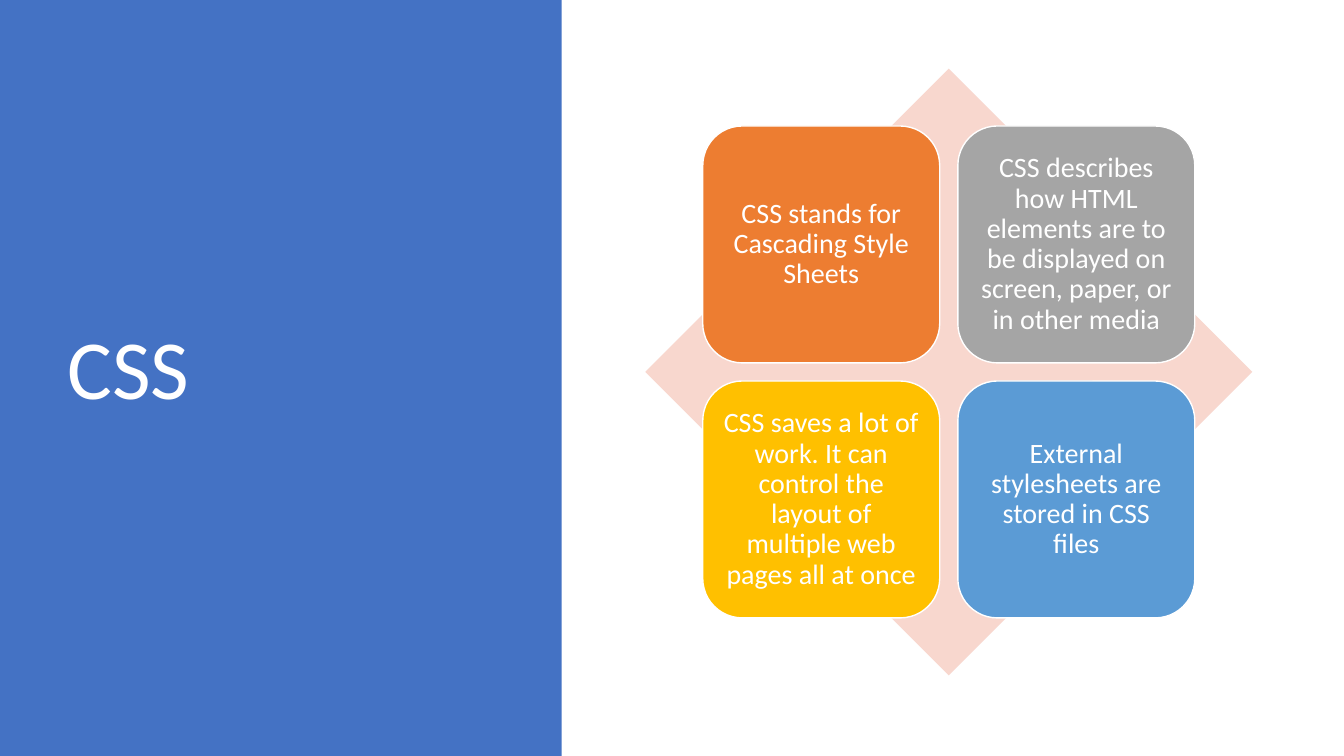
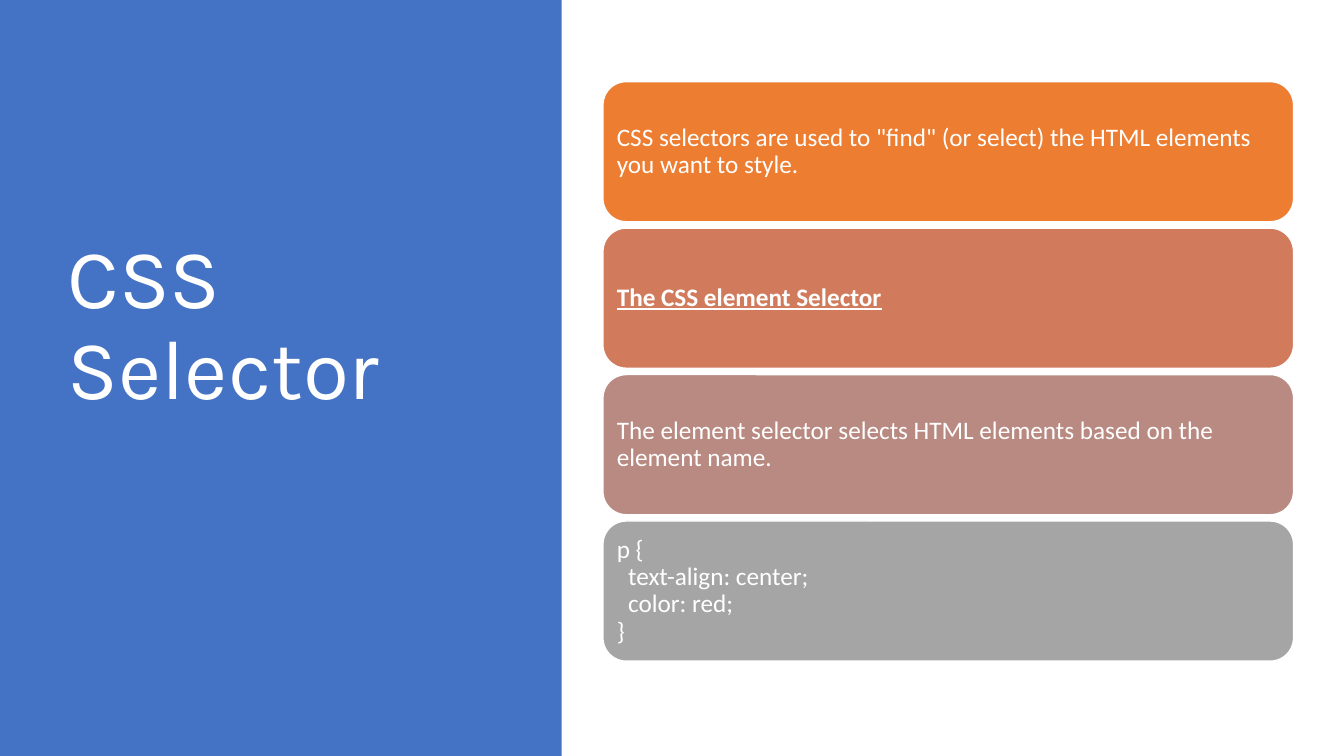
import pptx
import pptx.util
import pptx.dml.color
import pptx.enum.shapes
import pptx.enum.text

Inches = pptx.util.Inches
Pt = pptx.util.Pt
SHAPE = pptx.enum.shapes.MSO_SHAPE
ALIGN = pptx.enum.text.PP_ALIGN
MIDDLE = pptx.enum.text.MSO_ANCHOR.MIDDLE

COLORS = {
    "white": "FFFFFF",
    "blue": "4472C4",
    "blush": "F8D7CE",
    "orange": "ED7D31",
    "gray": "A5A5A5",
    "gold": "FFC000",
    "sky": "5B9BD5",
    "terracotta": "D17B5C",
    "rose": "B98A82",
}


def add_block(slide, kind, left, top, width, height, color, outlined=False):
    block = slide.shapes.add_shape(kind, Inches(left), Inches(top), Inches(width), Inches(height))
    block.shadow.inherit = False
    block.fill.solid()
    block.fill.fore_color.rgb = pptx.dml.color.RGBColor.from_string(COLORS[color])
    if outlined:
        block.line.color.rgb = pptx.dml.color.RGBColor.from_string(COLORS["white"])
        block.line.width = Pt(1)
    else:
        block.line.fill.background()
    return block


def write_text(box, text, align, inset, **font_values):
    frame = box.text_frame
    frame.text = text
    frame.word_wrap = True
    frame.auto_size = pptx.enum.text.MSO_AUTO_SIZE.NONE
    frame.vertical_anchor = MIDDLE
    for side, length in zip(("left", "top", "right", "bottom"), inset):
        setattr(frame, f"margin_{side}", Inches(length))
    for para in frame.paragraphs:
        para.alignment = align
        para.line_spacing = 0.9
        para.space_before = Pt(0)
        for name, value in font_values.items():
            setattr(para.font, name, value)
        para.font.color.rgb = pptx.dml.color.RGBColor.from_string(COLORS["white"])


deck = pptx.Presentation()
deck.slide_width = Inches(13.33)
deck.slide_height = Inches(7.5)

titles = [
    ("CSS", "Calibri", 0.05),
    ("CSS Selector", "Karla", 0.95),
]
pages = []
for text, typeface, bottom_inset in titles:
    page = deck.slides.add_slide(deck.slide_layouts[5])
    title = page.shapes.title
    band = add_block(page, SHAPE.RECTANGLE, 0, 0, 5.57, 7.5, "blue")
    title.element.addprevious(band.element)
    place = {"left": 0.57, "top": 0.68, "width": 4.16, "height": 6.02}
    for name, length in place.items():
        setattr(title, name, Inches(length))
    write_text(title, text, ALIGN.LEFT, (0.1, 0.05, 0.1, bottom_inset), size=Pt(60), name=typeface)
    pages.append(page)

overview, selector = pages

add_block(overview, SHAPE.DIAMOND, 6.4, 0.68, 6.02, 6.02, "blush")
facts = [
    ("CSS stands for Cascading Style Sheets", "orange"),
    ("CSS describes how HTML elements are to be displayed on screen, paper, or in other media", "gray"),
    ("CSS saves a lot of work. It can control the layout of multiple web pages all at once", "gold"),
    ("External stylesheets are stored in CSS files", "sky"),
]
for index, (text, color) in enumerate(facts):
    row, column = divmod(index, 2)
    tile = add_block(overview, SHAPE.ROUNDED_RECTANGLE, 6.97 + 2.53 * column, 1.25 + 2.53 * row,
                     2.35, 2.35, color, outlined=True)
    write_text(tile, text, ALIGN.CENTER, [0.08] * 4, size=Pt(20), name="Calibri")

steps = [
    ('CSS selectors are used to "find" (or select) the HTML elements you want to style.', "orange", {}),
    ("The CSS element Selector", "terracotta", {"bold": True, "underline": True}),
    ("The element selector selects HTML elements based on the element name.", "rose", {}),
    ("p {\n  text-align: center;\n  color: red;\n}", "gray", {}),
]
for index, (text, color, emphasis) in enumerate(steps):
    bar = add_block(selector, SHAPE.ROUNDED_RECTANGLE, 5.98, 0.81 + 1.453 * index,
                    6.85, 1.39, color, outlined=True)
    write_text(bar, text, ALIGN.LEFT, [0.07] * 4, size=Pt(18), name="Calibri", **emphasis)

deck.save("out.pptx")
